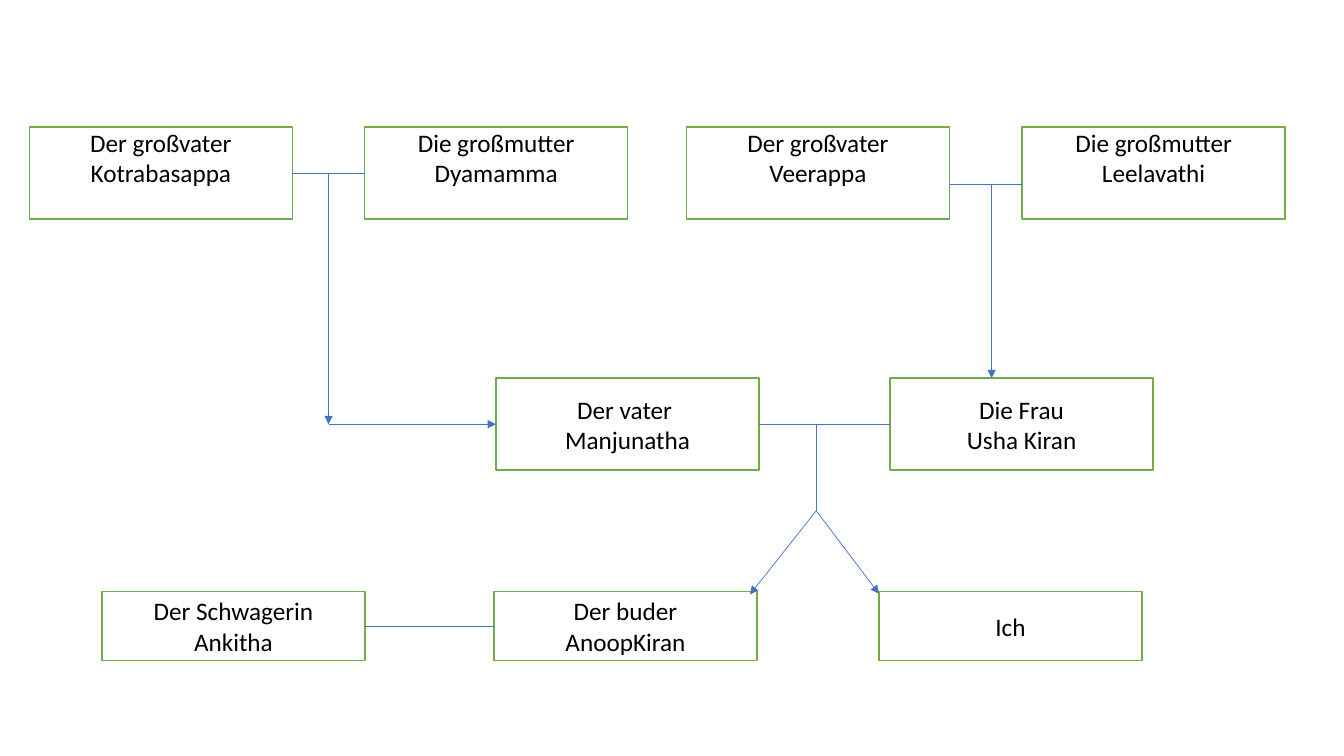
from dataclasses import dataclass

from lxml.etree import SubElement
from pptx import Presentation
from pptx.dml.color import RGBColor
from pptx.enum.shapes import MSO_CONNECTOR, MSO_SHAPE
from pptx.enum.text import MSO_ANCHOR, PP_ALIGN
from pptx.oxml.ns import qn
from pptx.slide import Slide
from pptx.util import Cm, Pt


@dataclass(frozen=True)
class Theme:
    """Colours, font and sizes of the family tree."""
    box_fill: RGBColor = RGBColor(0xFF, 0xFF, 0xFF)
    box_line: RGBColor = RGBColor(0x70, 0xAD, 0x47)
    link: RGBColor = RGBColor(0x44, 0x72, 0xC4)
    text: RGBColor = RGBColor(0, 0, 0)
    font: str = "Calibri"
    text_size: Pt = Pt(18)
    box_line_width: Pt = Pt(1)
    link_width: Pt = Pt(0.5)


@dataclass(frozen=True)
class Generation:
    """A row of the tree, in centimetres."""
    top: float
    height: float
    anchor: MSO_ANCHOR = MSO_ANCHOR.MIDDLE

    @property
    def middle(self) -> float:
        """Vertical centre of the row."""
        return self.top + self.height / 2


@dataclass(frozen=True)
class Person:
    """A box for one relative, in centimetres."""
    text: str
    left: float
    generation: Generation

    @property
    def right(self) -> float:
        """Right edge of the box."""
        return self.left + BOX_WIDTH


@dataclass(frozen=True)
class Link:
    """A straight line between two points, in centimetres."""
    start: tuple[float, float]
    end: tuple[float, float]
    arrow: bool = False


THEME = Theme()
BOX_WIDTH = 6.63

GRANDPARENTS = Generation(3.2, 2.32, MSO_ANCHOR.TOP)
PARENTS = Generation(9.53, 2.32)
CHILDREN = Generation(14.91, 1.73)

paternal_grandfather = Person("Der großvater\nKotrabasappa", 0.74, GRANDPARENTS)
paternal_grandmother = Person("Die großmutter\nDyamamma", 9.19, GRANDPARENTS)
maternal_grandfather = Person("Der großvater\nVeerappa", 17.3, GRANDPARENTS)
maternal_grandmother = Person("Die großmutter\nLeelavathi", 25.76, GRANDPARENTS)
father = Person("Der vater \nManjunatha", 12.5, PARENTS)
mother = Person("Die Frau\nUsha Kiran", 22.43, PARENTS)
sister_in_law = Person("Der Schwagerin\nAnkitha", 2.57, CHILDREN)
brother = Person("Der buder\nAnoopKiran", 12.45, CHILDREN)
myself = Person("Ich", 22.15, CHILDREN)
PEOPLE = (paternal_grandfather, paternal_grandmother, maternal_grandfather,
          maternal_grandmother, father, mother, sister_in_law, brother, myself)


def couple(first: Person, second: Person, height: float) -> Link:
    """Join two neighbouring boxes with a level line."""
    return Link((first.right, height), (second.left, height))


def family_links() -> list[Link]:
    """List the lines of marriage and descent."""
    maternal_height = 4.65
    paternal_stem = (paternal_grandfather.right + paternal_grandmother.left) / 2
    maternal_stem = 24.99
    corner = (paternal_stem, PARENTS.middle)
    fork = (20.57, 12.87)
    return [
        couple(paternal_grandfather, paternal_grandmother, GRANDPARENTS.middle),
        couple(maternal_grandfather, maternal_grandmother, maternal_height),
        couple(father, mother, PARENTS.middle),
        couple(sister_in_law, brother, CHILDREN.middle),
        Link((paternal_stem, GRANDPARENTS.middle), corner, arrow=True),
        Link(corner, (father.left, PARENTS.middle), arrow=True),
        Link((maternal_stem, maternal_height), (maternal_stem, PARENTS.top), arrow=True),
        Link((fork[0], PARENTS.middle), fork),
        Link(fork, (brother.right - 0.18, CHILDREN.top + 0.07), arrow=True),
        Link(fork, (myself.left, CHILDREN.top + 0.05), arrow=True),
    ]


def write_text(shape, text: str, *, anchor: MSO_ANCHOR, size: Pt, color: RGBColor) -> None:
    """Fill a shape with centred lines of text."""
    frame = shape.text_frame
    frame.word_wrap = True
    frame.vertical_anchor = anchor
    frame.margin_top = frame.margin_bottom = Cm(0)
    frame.text = text
    for paragraph in frame.paragraphs:
        paragraph.alignment = PP_ALIGN.CENTER
        paragraph.font.name = THEME.font
        paragraph.font.size = size
        paragraph.font.color.rgb = color


def draw_person(slide: Slide, person: Person) -> None:
    """Draw the box of one relative."""
    row = person.generation
    shape = slide.shapes.add_shape(MSO_SHAPE.RECTANGLE, Cm(person.left), Cm(row.top),
                                   Cm(BOX_WIDTH), Cm(row.height))
    shape.shadow.inherit = False
    shape.fill.solid()
    shape.fill.fore_color.rgb = THEME.box_fill
    shape.line.color.rgb = THEME.box_line
    shape.line.width = THEME.box_line_width
    write_text(shape, person.text, anchor=row.anchor, size=THEME.text_size, color=THEME.text)


def draw_link(slide: Slide, link: Link) -> None:
    """Draw a line, with an arrowhead at its end if asked for."""
    points = [Cm(value) for value in (*link.start, *link.end)]
    connector = slide.shapes.add_connector(MSO_CONNECTOR.STRAIGHT, *points)
    connector.line.color.rgb = THEME.link
    connector.line.width = THEME.link_width
    properties = connector._element.spPr
    if link.arrow:
        SubElement(properties.find(qn("a:ln")), qn("a:tailEnd"), type="triangle")
    SubElement(properties, qn("a:effectLst"))


def main() -> None:
    """Build the family tree and save it."""
    presentation = Presentation()
    presentation.slide_width, presentation.slide_height = Cm(33.87), Cm(19.05)
    slide = presentation.slides.add_slide(presentation.slide_layouts.get_by_name("Blank"))
    for person in PEOPLE:
        draw_person(slide, person)
    for link in family_links():
        draw_link(slide, link)
    presentation.save("out.pptx")


main()
